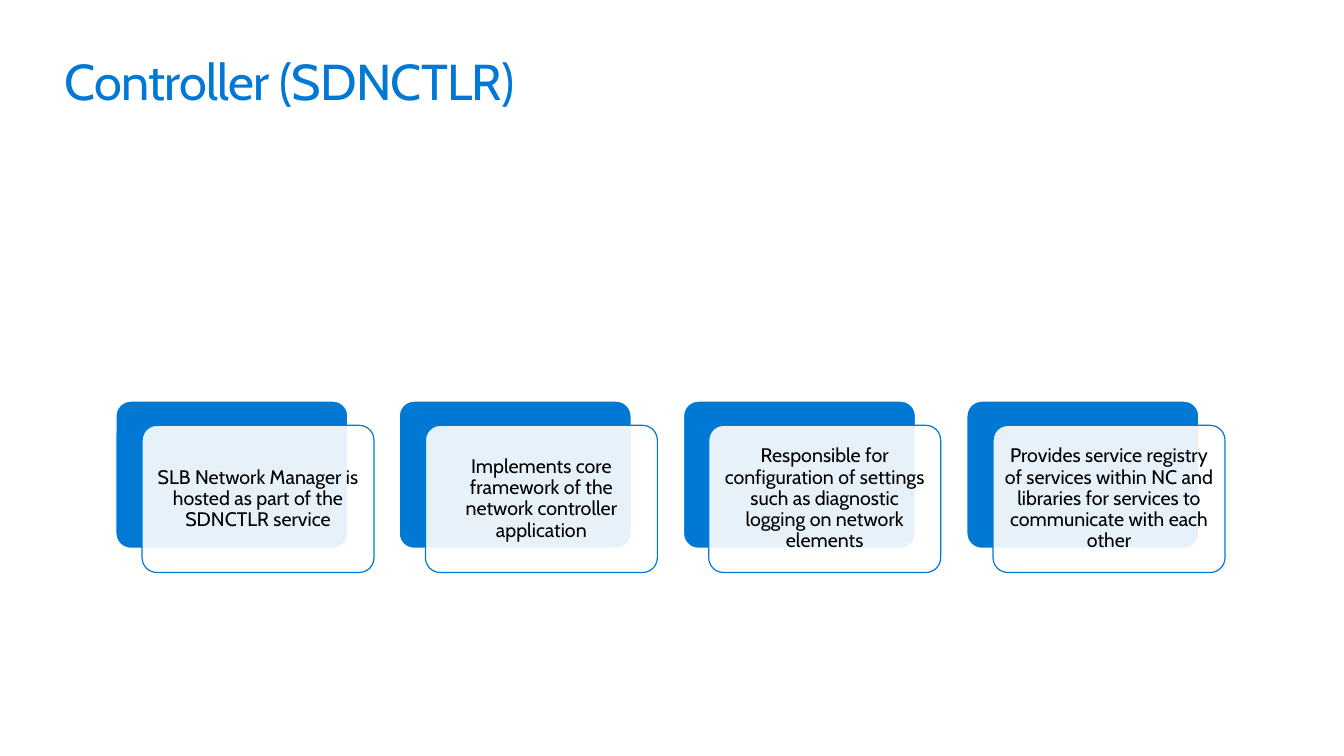
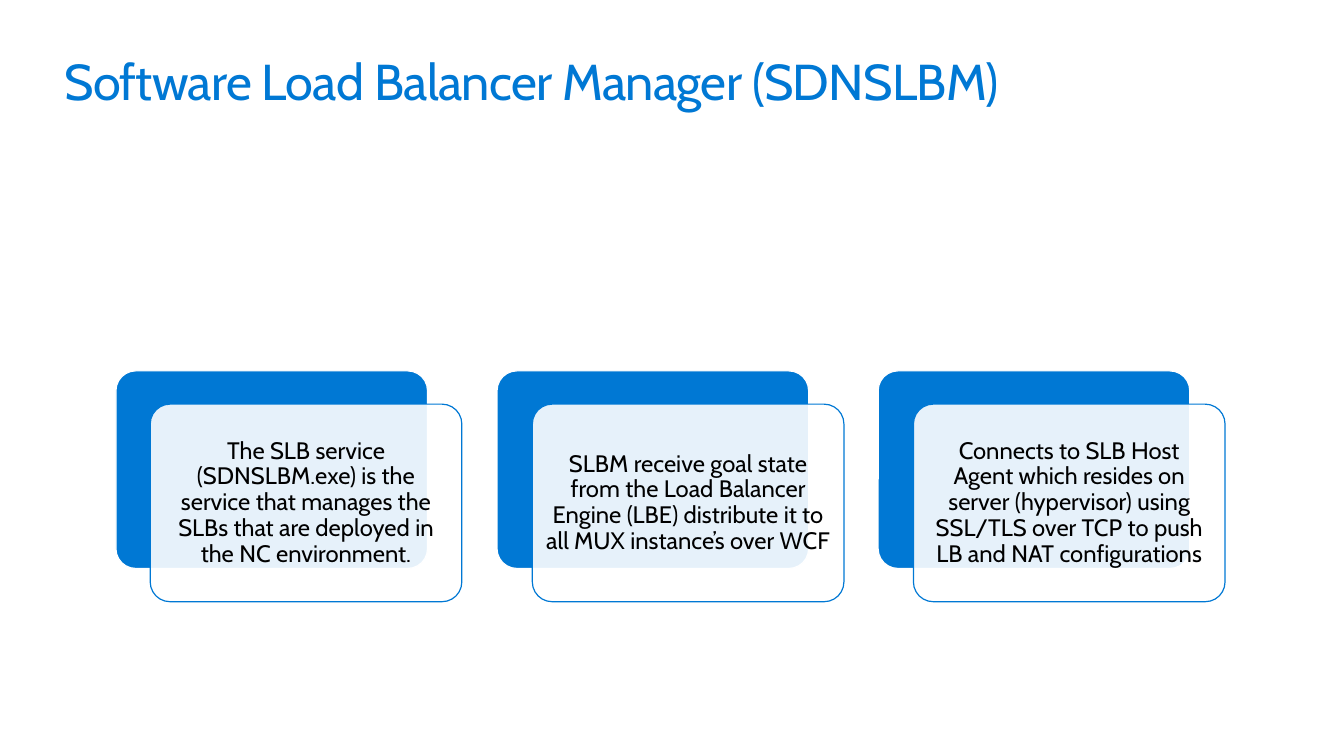
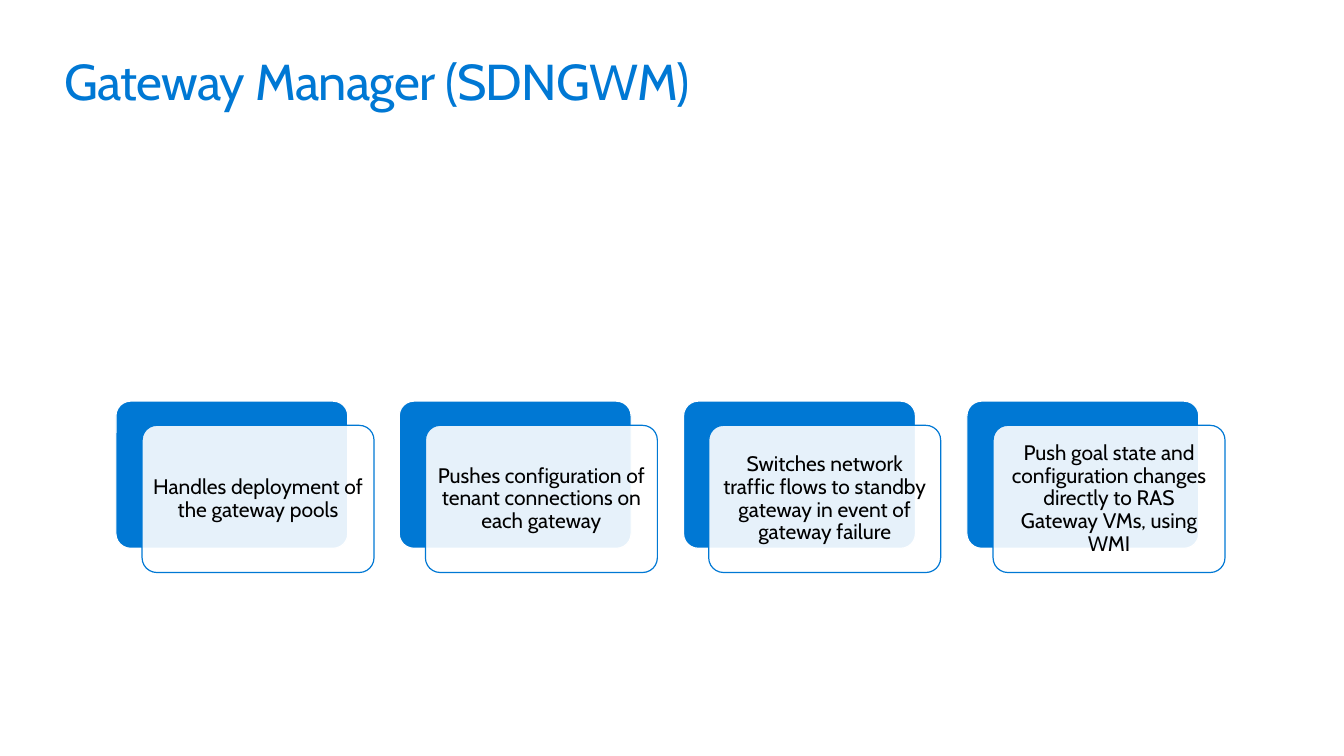
from pptx import Presentation
from pptx import util as u
from pptx.dml.color import RGBColor
from pptx.enum import shapes, text
from pptx.oxml.ns import qn
from lxml import etree

PX = 9144
FONT = "Cabin"
BLUE, WHITE, BLACK = "0078D4", "FFFFFF", "000000"
TITLE_BOX = (64, 50, 1205, 61)
CARD_ROW = (115, 300, 1100, 366)

SLIDES = [
    ("Controller (SDNCTLR)", 14, [
        "SLB Network Manager is hosted as part of the SDNCTLR service",
        "Implements core framework of the network controller application",
        "Responsible for configuration of settings such as diagnostic logging on network elements",
        "Provides service registry of services within NC and libraries for services to communicate with each other",
    ]),
    ("Software Load Balancer Manager (SDNSLBM)", 17, [
        "The SLB service (SDNSLBM.exe) is the service that manages the SLBs that are deployed in the NC environment.",
        "SLBM receive goal state from the Load Balancer Engine (LBE) distribute it to all MUX instance’s over WCF",
        "Connects to SLB Host Agent which resides on server (hypervisor) using SSL/TLS over TCP to push LB and NAT configurations",
    ]),
    ("Gateway Manager (SDNGWM)", 15, [
        "Handles deployment of the gateway pools",
        "Pushes configuration of tenant connections on each gateway",
        "Switches network traffic flows to standby gateway in event of gateway failure",
        "Push goal state and configuration changes directly to RAS Gateway VMs, using WMI",
    ]),
]


def px(length):
    return u.Emu(round(length) * PX)


def color(hex_value):
    return RGBColor.from_string(hex_value)


def write(frame, words, size, hex_value, align, anchor, inset):
    frame.word_wrap = True
    frame.auto_size = text.MSO_AUTO_SIZE.NONE
    frame.vertical_anchor = anchor
    frame.margin_left = frame.margin_right = inset
    frame.margin_top = frame.margin_bottom = inset
    paragraph = frame.paragraphs[0]
    paragraph.alignment = align
    run = paragraph.add_run()
    run.text = words
    run.font.size = u.Pt(size)
    run.font.name = FONT
    run.font.color.rgb = color(hex_value)
    return paragraph, run


def add_title(slide, words, box):
    title = slide.shapes.title
    title.left, title.top, title.width, title.height = map(px, box)
    _, run = write(title.text_frame, words, 36, BLUE,
                   text.PP_ALIGN.LEFT, text.MSO_ANCHOR.TOP, 0)
    run._r.get_or_add_rPr().set("spc", "-50")


def add_panel(slide, box, fill, line):
    panel = slide.shapes.add_shape(
        shapes.MSO_SHAPE.ROUNDED_RECTANGLE, *map(px, box))
    panel.adjustments[0] = 0.1
    panel.shadow.inherit = False
    panel.fill.solid()
    panel.fill.fore_color.rgb = color(fill)
    panel.line.color.rgb = color(line)
    panel.line.width = u.Pt(0.85)
    return panel


def add_card(slide, words, size, box):
    left, top, width, height = box
    add_panel(slide, box, BLUE, WHITE)
    front_box = (left + width / 9, top + height / 6, width, height)
    front = add_panel(slide, front_box, WHITE, BLUE)
    tint = front.fill._xPr.find(qn("a:solidFill"))[0]
    etree.SubElement(tint, qn("a:alpha"), val="90000")
    paragraph, _ = write(front.text_frame, words, size, BLACK,
                         text.PP_ALIGN.CENTER, text.MSO_ANCHOR.MIDDLE,
                         u.Pt(size * 0.3))
    paragraph.line_spacing = 0.9


def add_card_row(slide, statements, size, box):
    left, top, width, height = box
    card_width = 9 * width / (11 * len(statements) - 1)
    card_height = card_width * 0.635
    card_top = top + (height - card_height * 7 / 6) / 2
    for index, words in enumerate(statements):
        card_left = left + index * card_width * 11 / 9
        add_card(slide, words, size,
                 (card_left, card_top, card_width, card_height))


def main():
    deck = Presentation()
    deck.slide_width, deck.slide_height = px(1333), px(750)
    for heading, size, statements in SLIDES:
        slide = deck.slides.add_slide(deck.slide_layouts[5])
        add_title(slide, heading, TITLE_BOX)
        add_card_row(slide, statements, size, CARD_ROW)
    deck.save("out.pptx")


if __name__ == "__main__":
    main()
